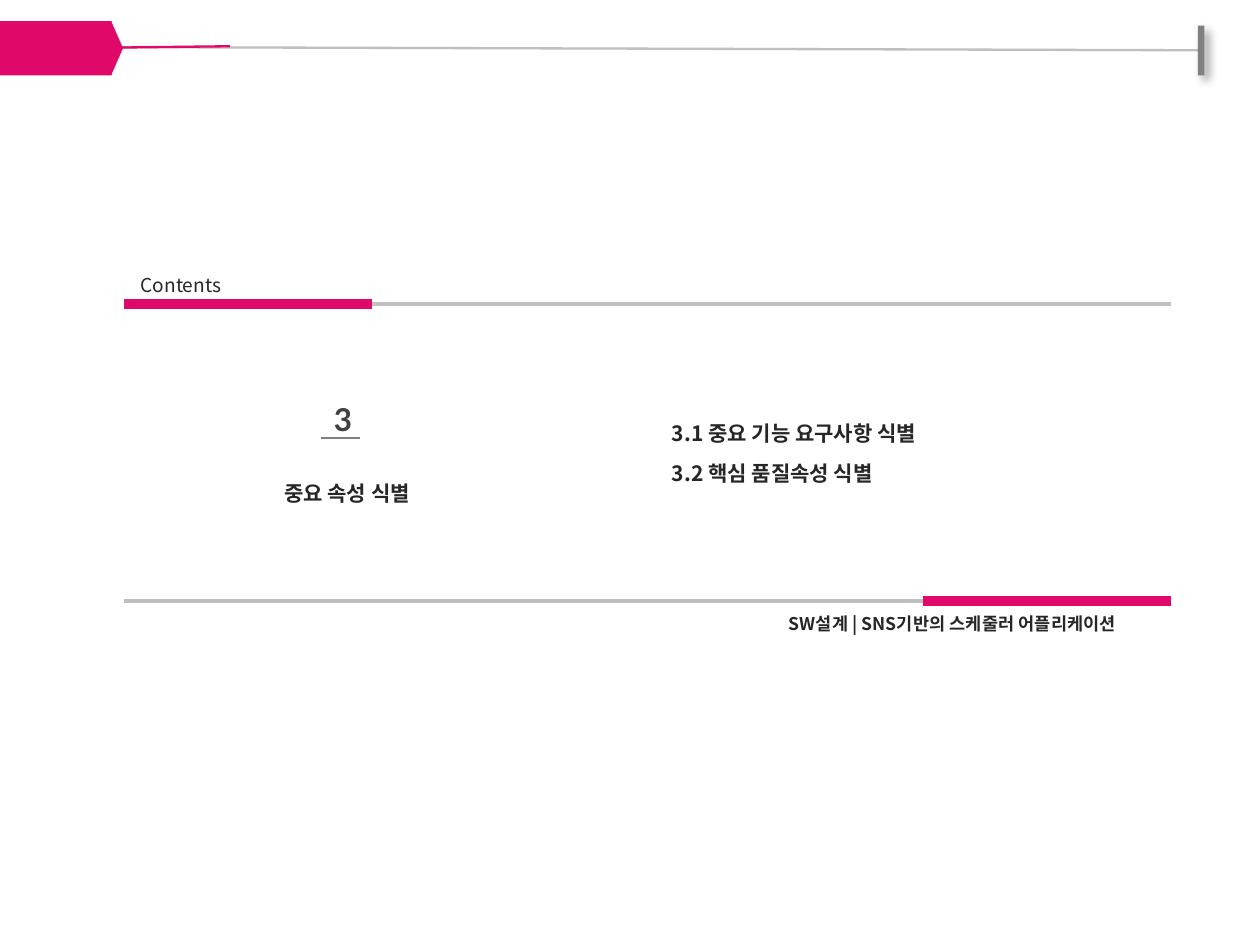
"""Build a section contents slide with ruled bands."""
from dataclasses import dataclass

from lxml import etree
from pptx import Presentation
from pptx.dml.color import RGBColor
from pptx.enum.shapes import MSO_CONNECTOR, MSO_SHAPE
from pptx.enum.text import MSO_ANCHOR, PP_ALIGN
from pptx.oxml import parse_xml
from pptx.oxml.ns import qn
from pptx.util import Cm, Pt

RECT = MSO_SHAPE.RECTANGLE
WEDGE = MSO_SHAPE.ISOSCELES_TRIANGLE
STRAIGHT = MSO_CONNECTOR.STRAIGHT
MIDDLE = MSO_ANCHOR.MIDDLE
LEFT = PP_ALIGN.LEFT
CENTER = PP_ALIGN.CENTER
SHADOW = (
    '<a:effectLst xmlns:a="http://schemas.openxmlformats.org/drawingml/2006/main">'
    '<a:outerShdw blurRad="50800" dist="38100" dir="2700000" algn="tl" rotWithShape="0">'
    '<a:srgbClr val="000000"><a:alpha val="40000"/></a:srgbClr>'
    '</a:outerShdw></a:effectLst>'
)


@dataclass(frozen=True)
class Theme:
    """Colours, fonts, and type and line sizes in points."""
    pink: str = "E00868"
    pale: str = "BFBFBF"
    gray: str = "808080"
    ink: str = "262626"
    soft: str = "404040"
    sans: str = "Noto Sans CJK KR"
    digit: str = "Lato"
    foot: float = 7.5
    label: float = 8.2
    body: float = 9
    number: float = 13.5
    thin: float = 1
    rule: float = 1.5
    band: float = 4.5


THEME = Theme()


def add_line(slide, start, end, color, width):
    """Draw a straight line between two points in centimetres."""
    line = slide.shapes.add_connector(STRAIGHT, *map(Cm, start + end))
    line.line.color.rgb = RGBColor.from_string(color)
    line.line.width = Pt(width)
    etree.SubElement(line._element.spPr, qn("a:effectLst"))


def add_block(slide, kind, box, color):
    """Draw a plain filled shape and return it."""
    block = slide.shapes.add_shape(kind, *map(Cm, box))
    block.shadow.inherit = False
    block.fill.solid()
    block.fill.fore_color.rgb = RGBColor.from_string(color)
    block.line.fill.background()
    return block


def add_text(slide, box, lines, size, font=THEME.sans, color=THEME.ink,
             bold=True, align=LEFT, pitch=1.0):
    """Write lines of text, vertically centred in a box."""
    frame = slide.shapes.add_textbox(*map(Cm, box)).text_frame
    frame.word_wrap = True
    frame.vertical_anchor = MIDDLE
    frame.margin_top = frame.margin_bottom = 0
    for index, text in enumerate(lines):
        para = frame.add_paragraph() if index else frame.paragraphs[0]
        para.alignment = align
        para.line_spacing = pitch
        run = para.add_run()
        run.text = text
        run.font.size = Pt(size)
        run.font.bold = bold
        run.font.color.rgb = RGBColor.from_string(color)
        run.font.name = font
        east = etree.SubElement(run._r.get_or_add_rPr(), qn("a:ea"))
        east.set("typeface", font)


def add_header(slide):
    """Draw the pink tab, the top line and its end bar."""
    add_line(slide, (0.97, 0.71), (18.11, 0.76), THEME.pale, THEME.thin)
    bar = add_block(slide, RECT, (18.11, 0.39, 0.1, 0.75), THEME.gray)
    props = bar._element.spPr
    props.replace(props.find(qn("a:effectLst")), parse_xml(SHADOW))
    add_line(slide, (1.73, 0.72), (3.48, 0.7), THEME.pink, THEME.thin)
    wedge = add_block(slide, WEDGE, (1.36, 0.64, 0.82, 0.18), THEME.pink)
    wedge.rotation = 90
    add_block(slide, RECT, (0, 0.32, 1.69, 0.82), THEME.pink)


def add_rules(slide):
    """Draw the two rules, with pink at opposite ends."""
    left, right, part, gap = 1.88, 17.7, 3.74, 1.93
    for y, pale, pink in (
        (9.09, (left, right - gap), (right - part, right)),
        (4.6, (left + gap, right), (left, left + part)),
    ):
        add_line(slide, (pale[0], y), (pale[1], y), THEME.pale, THEME.rule)
        add_line(slide, (pink[0], y), (pink[1], y), THEME.pink, THEME.band)


def add_section(slide):
    """Write the labels, section number, title and topics."""
    add_text(slide, (10.21, 9.14, 8.38, 0.58),
             ["SW설계 | SNS기반의 스케줄러 어플리케이션"], THEME.foot, align=CENTER)
    add_text(slide, (1.88, 4.01, 3.53, 0.61), ["Contents"], THEME.label, bold=False)
    add_text(slide, (4.8, 5.92, 1.98, 0.84), ["3"], THEME.number,
             font=THEME.digit, color=THEME.soft)
    add_text(slide, (3.81, 6.91, 2.87, 0.86), ["중요 속성 식별"], THEME.body,
             align=CENTER, pitch=1.6)
    add_line(slide, (4.85, 6.62), (5.44, 6.62), THEME.gray, THEME.thin)
    add_text(slide, (9.91, 5.99, 9.1, 1.5),
             ["3.1 중요 기능 요구사항 식별", "3.2 핵심 품질속성 식별"],
             THEME.body, pitch=1.6)


def main():
    """Build and save the slide."""
    deck = Presentation()
    deck.slide_width, deck.slide_height = Cm(19.05), Cm(14.29)
    slide = deck.slides.add_slide(deck.slide_layouts[6])
    add_header(slide)
    add_rules(slide)
    add_section(slide)
    deck.save("out.pptx")


if __name__ == "__main__":
    main()
